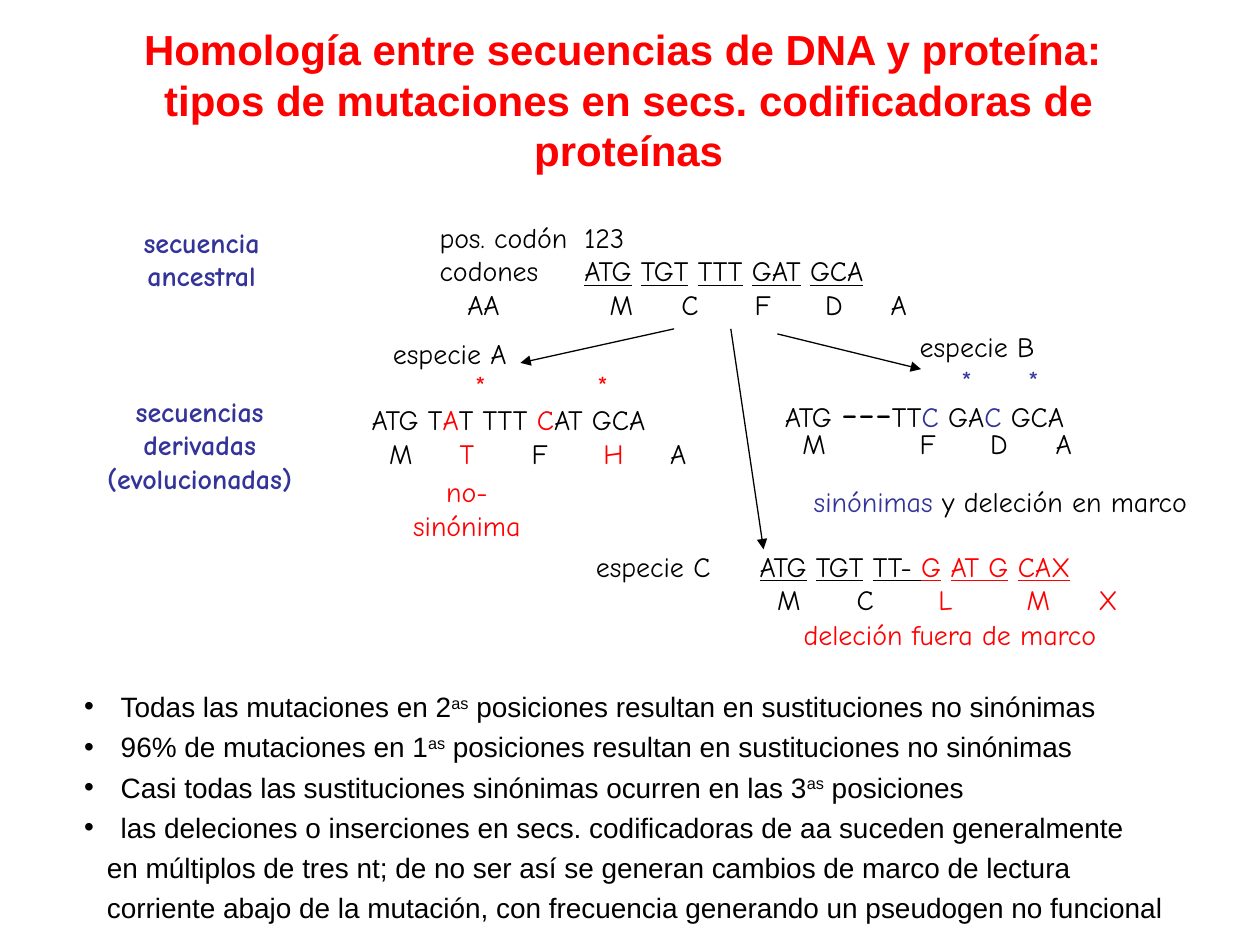
"""Builds a slide on homology and mutation types in protein-coding sequences."""
from lxml.etree import SubElement
from pptx import Presentation
from pptx.dml.color import RGBColor
from pptx.enum.shapes import MSO_CONNECTOR
from pptx.enum.text import PP_ALIGN
from pptx.oxml.ns import qn
from pptx.util import Inches, Pt

BLACK, RED, BLUE = "000000", "FF0000", "333399"
HAND, SANS = "Comic Neue", "Arial"


def underlined(words, colour=BLACK):
    """Return the runs of underlined codons with plain spaces between them."""
    runs = []
    for word in words:
        runs += [(" ", {"colour": colour})] if runs else []
        runs.append((word, {"colour": colour, "underline": True}))
    return runs


def red(text):
    """Return a red run."""
    return text, {"colour": RED}


def blue(text):
    """Return a blue run."""
    return text, {"colour": BLUE}


SUPERSCRIPT = ("as", {"baseline": "30000"})

CENTRED_TEXTS = [
    ((0.41, 0.14, 9.16, 0.9), SANS, 24, RED, True,
     ["Homología entre secuencias de DNA y proteína: ",
      "tipos de mutaciones en secs. codificadoras de proteínas"]),
    ((1.04, 1.74, 1.12, 0.64), HAND, 16, BLUE, True, ["secuencia", "ancestral"]),
    ((0.75, 3.08, 1.67, 0.9), HAND, 16, BLUE, True,
     ["secuencias", "derivadas", "(evolucionadas)"]),
    ((3.18, 3.72, 1.05, 0.64), HAND, 16, RED, False, ["no-", "sinónima"]),
]

LABELS = [
    ((3.02, 2.62, 1.1, 0.37), ["especie A"]),
    ((7.2, 2.57, 1.11, 0.37), ["especie B"]),
    ((4.63, 4.31, 1.11, 0.37), ["especie C"]),
    ((6.36, 3.8, 3.17, 0.37), [blue("sinónimas "), "y deleción en marco"]),
    ((6.28, 4.85, 2.53, 0.37), [red("deleción fuera de marco")]),
]

SEQUENCES = [
    ((3.39, 1.7, 3.91, 0.9), 1, [
        ([1.15], ["pos. codón\t123"]),
        ([1.15], ["codones\t", *underlined(["ATG", "TGT", "TTT", "GAT", "GCA"])]),
        ([0.22, 1.35, 1.92, 2.5, 3.06, 3.58], ["\tAA\tM\tC\tF\tD\tA"]),
    ]),
    ((2.85, 2.88, 2.69, 0.9), 1, [
        ([0.82, 1.79], [red("\t*\t*")]),
        ([], ["ATG T", red("A"), "T TTT ", red("C"), "AT GCA"]),
        ([0.14, 0.7, 1.27, 1.84, 2.37], ["\tM", red("\tT"), "\tF", red("\tH"), "\tA"]),
    ]),
    ((6.13, 2.9, 2.48, 0.8), 0.75, [
        ([1.4, 1.93], [blue("\t*\t*")]),
        ([], ["ATG ", ("---", {"size": 24}), "TT", blue("C"), " GA", blue("C"), " GCA"]),
        ([0.14, 1.07, 1.63, 2.15], ["\tM\tF\tD\tA"]),
    ]),
    ((5.93, 4.31, 3.04, 0.64), 1, [
        ([], underlined(["ATG", "TGT", "TT- "]) + underlined(["G", "AT G", "CAX"], RED)),
        ([0.14, 0.77, 1.42, 2.12, 2.69], ["\tM\tC", red("\tL\tM\tX")]),
    ]),
]

CONCLUSIONS_BOX = (0.57, 5.37, 8.76, 2.02)
BULLETS = [
    ["Todas las mutaciones en 2", SUPERSCRIPT,
     " posiciones resultan en sustituciones no sinónimas"],
    ["96% de mutaciones en 1", SUPERSCRIPT,
     " posiciones resultan en sustituciones no sinónimas"],
    ["Casi todas las sustituciones sinónimas ocurren en las 3", SUPERSCRIPT, " posiciones"],
    ["las deleciones o inserciones en secs. codificadoras de aa suceden generalmente"],
]
CONTINUATION = [
    ["en múltiplos de tres nt; de no ser así se generan cambios de marco de lectura"],
    ["corriente abajo de la mutación, con frecuencia generando un pseudogen no funcional"],
]

ARROWS = [
    ((5.35, 2.61), (4.13, 2.88)),
    ((6.17, 2.65), (7.31, 2.93)),
    ((5.8, 2.61), (6.06, 4.36)),
]


def rgb(colour):
    """Turn a hex string into a colour."""
    return RGBColor.from_string(colour)


def add_text_frame(slide, box, wrap=True):
    """Add a text box and return its text frame."""
    frame = slide.shapes.add_textbox(*map(Inches, box)).text_frame
    frame.word_wrap = wrap
    if wrap:
        frame.margin_right = 0
    return frame


def next_paragraph(frame, index):
    """Return the first paragraph, or a new one after it."""
    return frame.add_paragraph() if index else frame.paragraphs[0]


def add_runs(paragraph, runs, font=HAND, size=16, colour=BLACK, bold=False):
    """Fill a paragraph with formatted runs."""
    for item in runs:
        text, style = (item, {}) if isinstance(item, str) else item
        run = paragraph.add_run()
        run.text = text
        run.font.name = font
        run.font.size = Pt(style.get("size", size))
        run.font.bold = bold
        run.font.underline = style.get("underline", False)
        run.font.color.rgb = rgb(style.get("colour", colour))
        if "baseline" in style:
            run._r.get_or_add_rPr().set("baseline", style["baseline"])


def set_tabs(paragraph, positions):
    """Set left tab stops at the given distances."""
    tab_list = SubElement(paragraph._p.get_or_add_pPr(), qn("a:tabLst"))
    for position in positions:
        SubElement(tab_list, qn("a:tab"), pos=str(Inches(position)), algn="l")


def set_indent(paragraph, margin, bullet=None):
    """Set the left margin, with a hanging bullet if one is given."""
    properties = paragraph._p.get_or_add_pPr()
    properties.set("marL", str(Inches(margin)))
    properties.set("indent", str(-Inches(margin) if bullet else 0))
    if bullet:
        SubElement(properties, qn("a:buFont"), typeface=SANS)
        SubElement(properties, qn("a:buChar"), char=bullet)


def add_arrow(slide, start, end):
    """Add a thin black arrow."""
    arrow = slide.shapes.add_connector(MSO_CONNECTOR.STRAIGHT, *map(Inches, start + end))
    arrow.line.color.rgb = rgb(BLACK)
    arrow.line.width = Pt(0.75)
    SubElement(arrow.line._get_or_add_ln(), qn("a:tailEnd"), type="triangle")
    SubElement(arrow._element.spPr, qn("a:effectLst"))


def main():
    """Build and save the slide."""
    presentation = Presentation()
    presentation.slide_width, presentation.slide_height = Inches(10), Inches(7.5)
    slide = presentation.slides.add_slide(presentation.slide_layouts[6])

    for box, font, size, colour, bold, lines in CENTRED_TEXTS:
        frame = add_text_frame(slide, box, wrap=False)
        for index, line in enumerate(lines):
            paragraph = next_paragraph(frame, index)
            paragraph.alignment = PP_ALIGN.CENTER
            add_runs(paragraph, [line], font, size, colour, bold)

    for box, runs in LABELS:
        add_runs(add_text_frame(slide, box).paragraphs[0], runs)

    for box, spacing, rows in SEQUENCES:
        frame = add_text_frame(slide, box)
        for index, (tabs, runs) in enumerate(rows):
            paragraph = next_paragraph(frame, index)
            paragraph.line_spacing = float(spacing)
            set_tabs(paragraph, tabs)
            add_runs(paragraph, runs)

    frame = add_text_frame(slide, CONCLUSIONS_BOX)
    lines = [(runs, 0.29, "•") for runs in BULLETS] + [(runs, 0.18, None) for runs in CONTINUATION]
    for index, (runs, margin, bullet) in enumerate(lines):
        paragraph = next_paragraph(frame, index)
        paragraph.line_spacing = 1.2
        set_indent(paragraph, margin, bullet)
        add_runs(paragraph, runs, SANS)

    for start, end in ARROWS:
        add_arrow(slide, start, end)
    presentation.save("out.pptx")


if __name__ == "__main__":
    main()
